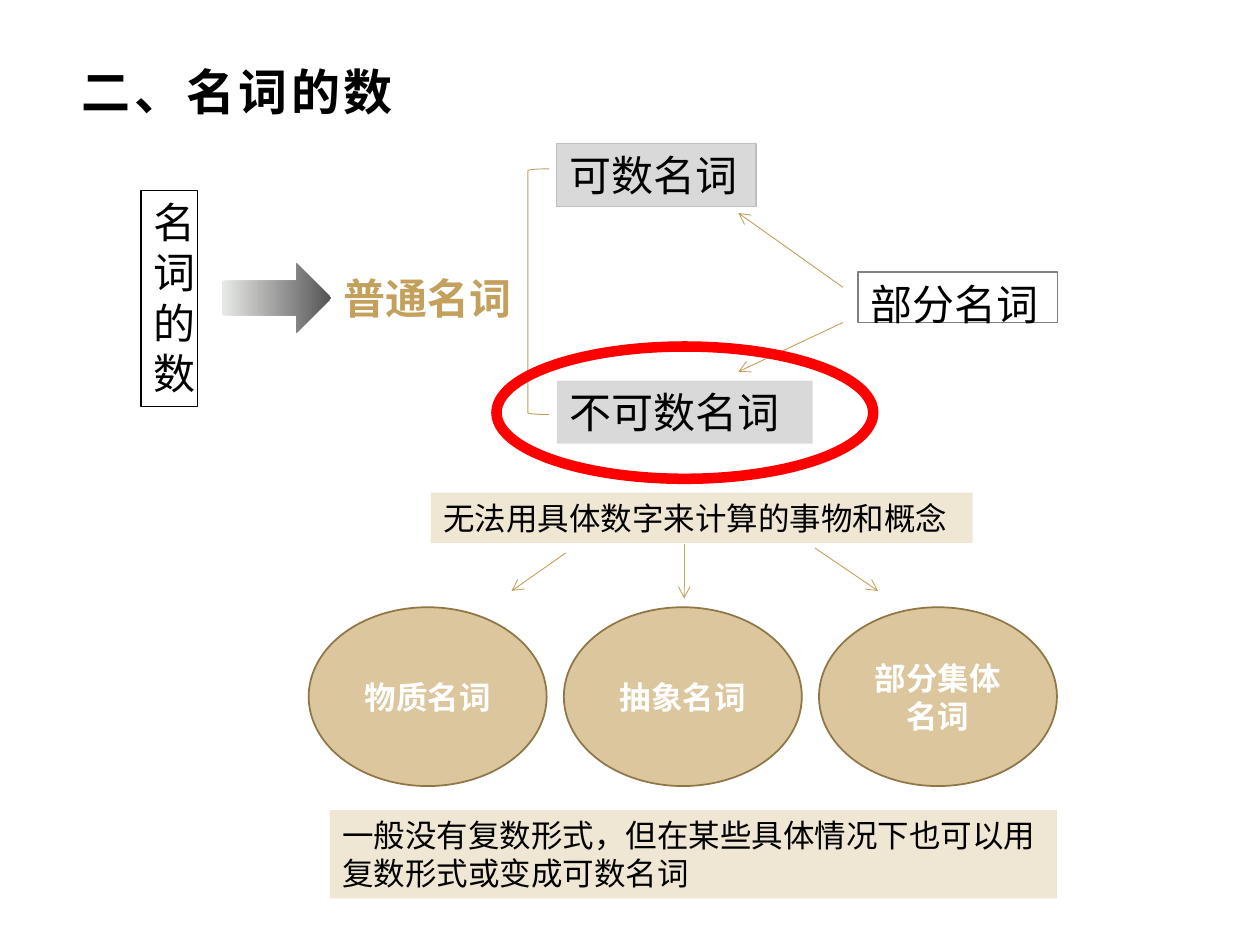
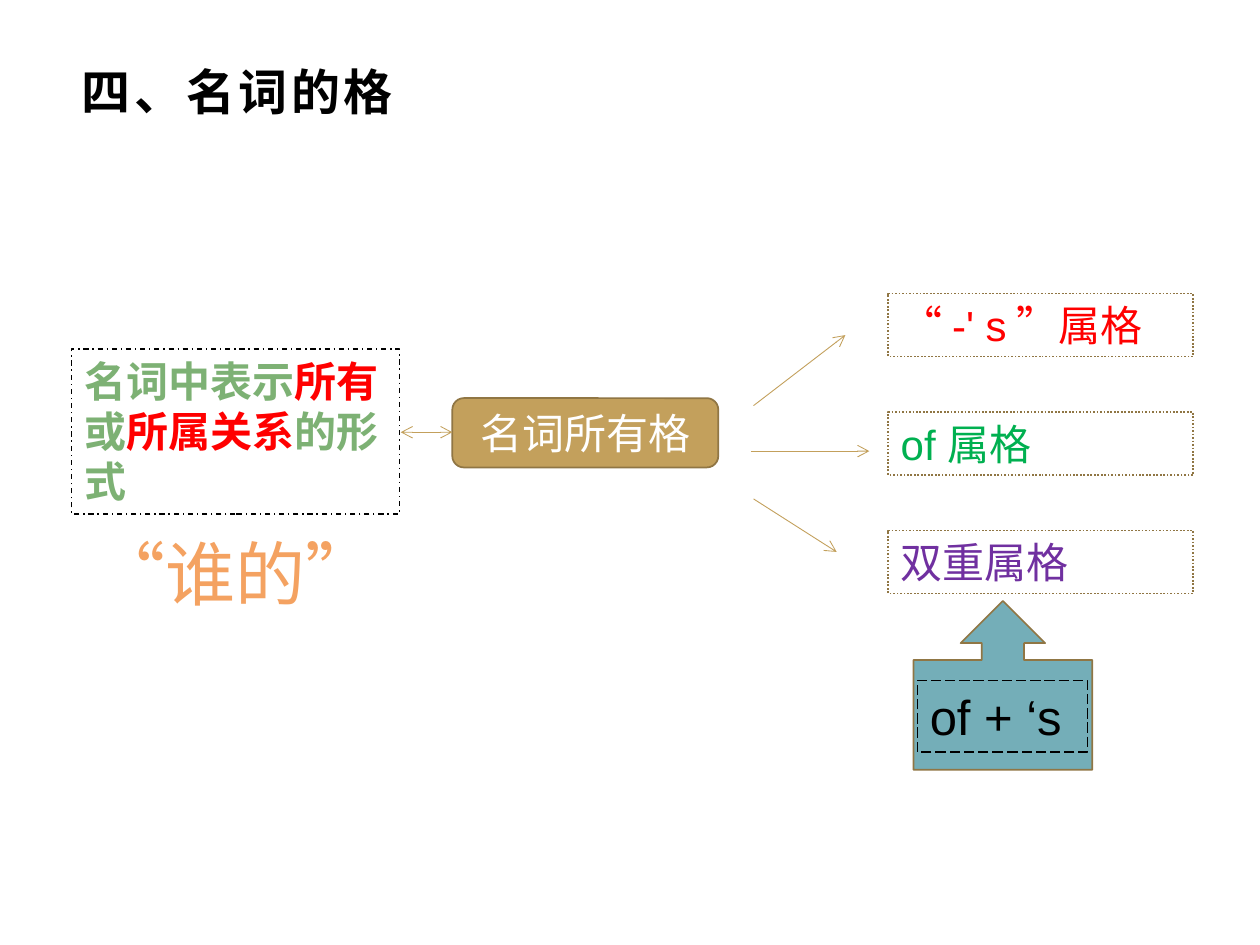
from dataclasses import dataclass

from lxml.etree import SubElement
from pptx import Presentation
from pptx.dml.color import RGBColor
from pptx.enum.dml import MSO_LINE as Dash
from pptx.enum.shapes import MSO_CONNECTOR, MSO_SHAPE as Shape
from pptx.enum.text import MSO_ANCHOR as Anchor, PP_ALIGN as Align
from pptx.oxml.ns import qn
from pptx.util import Pt


@dataclass(frozen=True)
class Theme:
    black: str = "000000"
    white: str = "FFFFFF"
    gold: str = "C3A05C"
    sand: str = "DBC69D"
    bronze: str = "907644"
    pale_gray: str = "D9D9D9"
    mid_gray: str = "BFBFBF"
    dark_gray: str = "808080"
    fade_from: str = "E7E9E6"
    fade_to: str = "545454"
    red: str = "FF0000"
    green: str = "00B050"
    purple: str = "7030A0"
    sage: str = "7DB174"
    orange: str = "F4A261"
    teal: str = "3A8C9B"
    latin: str = "Arial"
    cjk: str = "Noto Sans CJK SC"
    title: int = 28
    label: int = 24
    note: int = 18
    big: int = 40
    hairline: float = 0.5
    thin: float = 0.75
    edge: float = 1
    ring: float = 6


T = Theme()

# Boxes are (left, top, width, height); arrows are (start, end). All in points.
TITLE_BOX = (39.6, 34.6, 640.8, 34.6)

NUMBER_TITLE = "二、名词的数"
TOPIC = ("名词的数", (80.6, 108.7, 32.4, 123.8))
TOPIC_ARROW = (126.7, 150.5, 62.6, 39.6)
COMMON = ("普通名词", (188.6, 152, 111, 36))
BRACKET = (301.7, 96.5, 12.2, 140.4)
COUNTABLE = ("可数名词", (318.2, 82, 113.8, 36))
UNCOUNTABLE = ("不可数名词", (318.2, 217.6, 146.2, 36))
PARTIAL = ("部分名词", (490.3, 155.5, 113.8, 28.8))
PARTIAL_ARROWS = [((481.7, 164.2), (421.9, 121.7)), ((481.7, 184.3), (421.9, 212.4))]
FOCUS_RING = (283.7, 198, 215.3, 75.6)
NOTES = [
    ("无法用具体数字来计算的事物和概念", (246.2, 281.5, 309.6, 28.8)),
    ("一般没有复数形式，但在某些具体情况下也可以用复数形式或变成可数名词",
     (188.6, 463, 415.4, 50.4)),
]
KIND_ARROWS = [
    ((323.3, 316), (292.3, 337.7)),
    ((391, 311), (391, 342)),
    ((465.8, 313.2), (501.8, 337.7)),
]
KINDS = ["物质名词", "抽象名词", "部分集体名词"]
FIRST_KIND, KIND_STEP = (176.4, 347, 136, 102.2), 145.8

CASE_TITLE = "四、名词的格"
POSSESSIVE = ("名词所有格", (258.5, 227.5, 152, 39.6))
MEANING = (
    [("名词中表示", T.sage), ("所有", T.red), ("或", T.sage),
     ("所属关系", T.red), ("的形式", T.sage)],
    (41, 199.4, 187.2, 94.3),
)
MEANING_ARROW = ((229, 247), (258.5, 247))
WHOSE = ("“谁的”", (47.5, 299.5, 174.2, 55.4))
CASES = [
    ([("“ ", T.red, T.cjk), ("-' s", T.red), (" ”属格", T.red, T.cjk)]),
    ([("of 属格", T.green)]),
    ([("双重属格", T.purple)]),
]
FIRST_CASE, CASE_STEP = (507.6, 167.8, 174.2, 36), 67.7
CASE_ARROWS = [
    ((430.6, 231.8), (483.1, 191.5)),
    ((429.1, 257.8), (496.8, 257.8)),
    ((430.6, 285.1), (478.1, 315.4)),
]
CALLOUT = (522, 343.4, 102.2, 96.5)
FORMULA = ("of + ‘s", (524.2, 388.8, 97.2, 41))


def rgb(color):
    return RGBColor.from_string(color)


def write(shape, runs, size, color=T.black, font=T.latin, bold=False,
          align=Align.LEFT, anchor=Anchor.TOP, wrap=True, spacing=0):
    """Fill a shape with one paragraph; runs is a string or (text, color[, font]) tuples."""
    frame = shape.text_frame
    frame.word_wrap = wrap
    frame.vertical_anchor = anchor
    paragraph = frame.paragraphs[0]
    paragraph.alignment = align
    if isinstance(runs, str):
        runs = [(runs, color)]
    for words, run_color, *run_font in runs:
        run = paragraph.add_run()
        run.text = words
        run.font.size = Pt(size)
        run.font.bold = bold
        run.font.color.rgb = rgb(run_color)
        run.font.name = run_font[0] if run_font else font
        properties = run.font._element
        SubElement(properties, qn("a:ea")).set("typeface", T.cjk)
        if spacing:
            properties.set("spc", str(spacing * 100))


def add_text(slide, words, box, size, **style):
    write(slide.shapes.add_textbox(*map(Pt, box)), words, size, **style)


def add_shape(slide, kind, box, fill=None, alpha=None, line=None, width=T.thin, dash=None):
    shape = slide.shapes.add_shape(kind, *map(Pt, box))
    shape.shadow.inherit = False
    if fill:
        shape.fill.solid()
        shape.fill.fore_color.rgb = rgb(fill)
        if alpha:
            color = shape.fill._xPr.find(qn("a:solidFill"))[0]
            SubElement(color, qn("a:alpha")).set("val", str(alpha * 1000))
    else:
        shape.fill.background()
    if line:
        shape.line.color.rgb = rgb(line)
        shape.line.width = Pt(width)
        if dash:
            shape.line.dash_style = dash
    else:
        shape.line.fill.background()
    return shape


def add_label(slide, words, box, size=T.label, bold=False, **look):
    write(add_shape(slide, Shape.RECTANGLE, box, **look), words, size, bold=bold)


def add_arrow(slide, ends, both=False):
    start, end = ends
    arrow = slide.shapes.add_connector(MSO_CONNECTOR.STRAIGHT, *map(Pt, start + end))
    arrow.line.color.rgb = rgb(T.gold)
    arrow.line.width = Pt(T.hairline)
    outline = arrow.line._get_or_add_ln()
    for tip in ("a:headEnd", "a:tailEnd") if both else ("a:tailEnd",):
        SubElement(outline, qn(tip)).set("type", "arrow")
    SubElement(arrow._element.spPr, qn("a:effectLst"))


def shifted(box, dx=0, dy=0):
    left, top, width, height = box
    return left + dx, top + dy, width, height


def add_titled_slide(deck, title):
    slide = deck.slides.add_slide(deck.slide_layouts[6])
    add_text(slide, title, TITLE_BOX, T.title, bold=True, anchor=Anchor.MIDDLE, spacing=2)
    return slide


def build_number_slide(deck):
    slide = add_titled_slide(deck, NUMBER_TITLE)
    add_label(slide, *TOPIC, line=T.black)

    fade = add_shape(slide, Shape.RIGHT_ARROW, TOPIC_ARROW).fill
    fade.gradient()
    fade.gradient_angle = 0
    for stop, position, color in zip(fade.gradient_stops, (0.01, 1), (T.fade_from, T.fade_to)):
        stop.position = position
        stop.color.rgb = rgb(color)

    add_label(slide, *UNCOUNTABLE, fill=T.pale_gray)
    add_text(slide, *COMMON, T.label, color=T.gold, bold=True, align=Align.CENTER, wrap=False)
    add_shape(slide, Shape.LEFT_BRACKET, BRACKET, line=T.gold, width=T.hairline)
    add_label(slide, *COUNTABLE, fill=T.pale_gray, line=T.mid_gray)
    add_label(slide, *PARTIAL, line=T.dark_gray)
    for ends in PARTIAL_ARROWS + KIND_ARROWS:
        add_arrow(slide, ends)
    add_shape(slide, Shape.OVAL, FOCUS_RING, line=T.red, width=T.ring)
    for note, box in NOTES:
        add_label(slide, note, box, T.note, fill=T.sand, alpha=43)
    for i, kind in enumerate(KINDS):
        oval = add_shape(slide, Shape.OVAL, shifted(FIRST_KIND, dx=i * KIND_STEP),
                         fill=T.sand, line=T.bronze, width=T.edge)
        write(oval, kind, T.note, color=T.white, bold=True,
              align=Align.CENTER, anchor=Anchor.MIDDLE)


def build_case_slide(deck):
    slide = add_titled_slide(deck, CASE_TITLE)
    add_shape(slide, Shape.UP_ARROW_CALLOUT, CALLOUT, fill=T.teal, alpha=70,
              line=T.bronze, width=T.edge)
    words, box = POSSESSIVE
    hub = add_shape(slide, Shape.ROUNDED_RECTANGLE, box, fill=T.gold,
                    line=T.bronze, width=T.edge)
    write(hub, words, T.label, color=T.white, align=Align.CENTER, anchor=Anchor.MIDDLE)
    for i, (case, ends) in enumerate(zip(CASES, CASE_ARROWS)):
        add_arrow(slide, ends)
        add_label(slide, case, shifted(FIRST_CASE, dy=i * CASE_STEP),
                  line=T.bronze, width=T.edge, dash=Dash.ROUND_DOT)
    add_label(slide, *MEANING, bold=True, line=T.black, dash=Dash.DASH_DOT)
    add_arrow(slide, MEANING_ARROW, both=True)
    add_text(slide, *WHOSE, T.big, color=T.orange, font=T.cjk, align=Align.CENTER, wrap=False)
    add_label(slide, *FORMULA, T.title, line=T.black, dash=Dash.LONG_DASH)


def main():
    deck = Presentation()
    deck.slide_width, deck.slide_height = Pt(720), Pt(540)
    build_number_slide(deck)
    build_case_slide(deck)
    deck.save("out.pptx")


if __name__ == "__main__":
    main()
